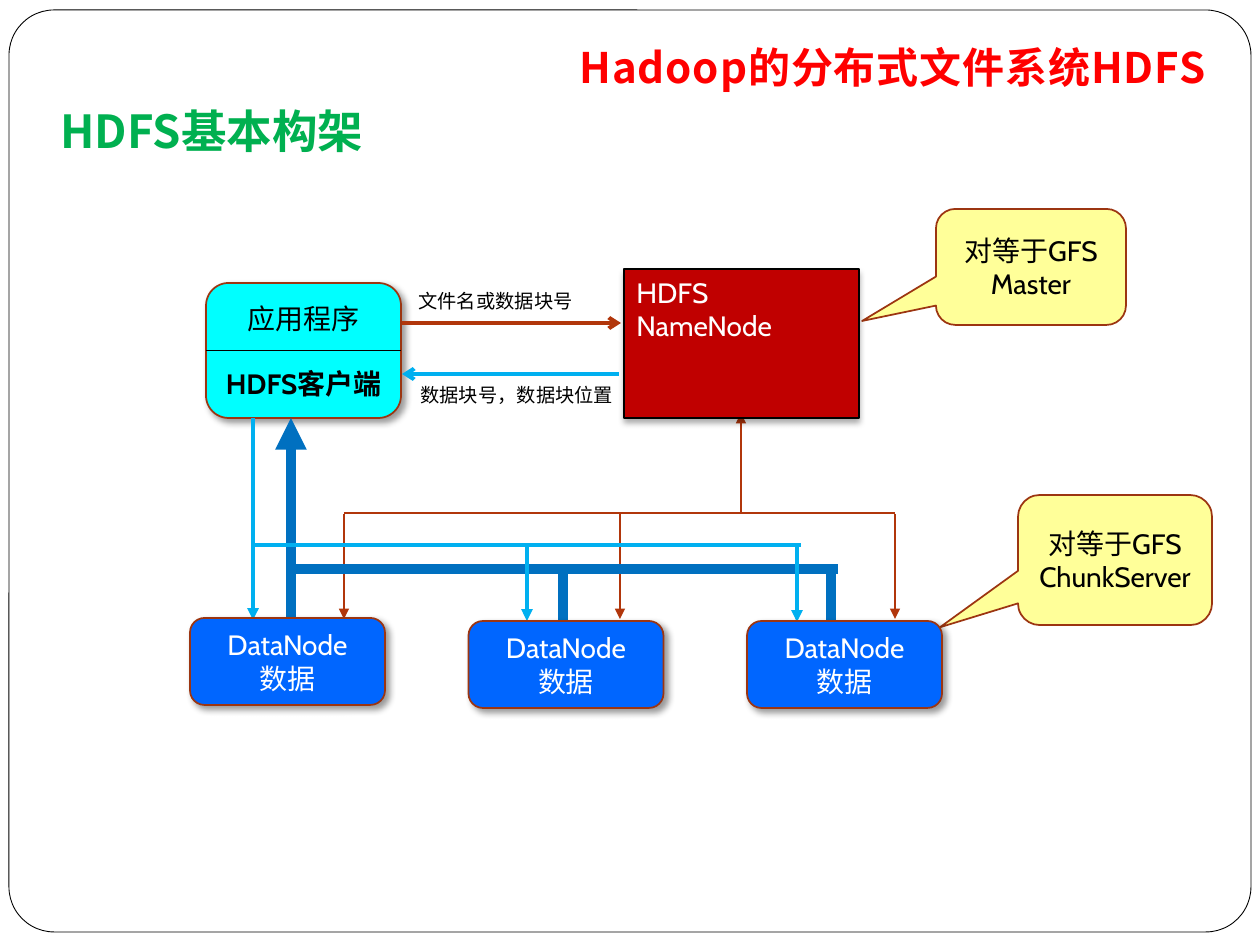
from pptx import Presentation
from pptx.dml.color import RGBColor
from pptx.enum.shapes import MSO_CONNECTOR, MSO_SHAPE
from pptx.enum.text import MSO_ANCHOR, MSO_AUTO_SIZE, PP_ALIGN
from pptx.oxml.ns import qn
from pptx.util import Emu, Pt
from lxml import etree

LINE = MSO_CONNECTOR.STRAIGHT
RECTANGLE = MSO_SHAPE.RECTANGLE
ROUNDED = MSO_SHAPE.ROUNDED_RECTANGLE
CALLOUT = MSO_SHAPE.ROUNDED_RECTANGULAR_CALLOUT
TOP, MIDDLE, BOTTOM = MSO_ANCHOR.TOP, MSO_ANCHOR.MIDDLE, MSO_ANCHOR.BOTTOM
LEFT, CENTER, RIGHT = PP_ALIGN.LEFT, PP_ALIGN.CENTER, PP_ALIGN.RIGHT
NO_AUTOFIT = MSO_AUTO_SIZE.NONE
CJK_FONT = "Noto Sans CJK SC"
SOFT_SHADOW = (40, 4, 3, 45)
LOW_SHADOW = (32, 3.5, 2.2, 90)
COLORS = {
    "black": "000000", "white": "FFFFFF", "title": "FF0000", "heading": "00B050",
    "outline": "9C3511", "note": "FFFF99", "client": "00FFFF", "name": "C00000",
    "data": "0066FF", "control": "B1360B", "read": "0070C0", "write": "00B0F0",
}


def px(value):
    return Emu(round(value * 914400 / 126))


def color(name):
    return RGBColor.from_string(COLORS[name])


def write(shape, text, size, font, ink, align=LEFT, anchor=TOP, bold=False):
    frame = shape.text_frame
    frame.text = text
    frame.word_wrap = True
    frame.auto_size = NO_AUTOFIT
    frame.vertical_anchor = anchor
    for paragraph in frame.paragraphs:
        paragraph.alignment = align
        for run in paragraph.runs:
            run.font.size = Pt(size)
            run.font.name = font
            run.font.bold = bold
            run.font.color.rgb = color(ink)
            properties = run.font._element
            etree.SubElement(properties, qn("a:ea"), typeface=CJK_FONT)
    return frame


def add_shadow(shape, alpha, blur, distance, angle):
    effects = shape._element.spPr.find(qn("a:effectLst"))
    shadow = etree.SubElement(
        effects, qn("a:outerShdw"), blurRad=str(Pt(blur)), dist=str(Pt(distance)),
        dir=str(angle * 60000), algn="ctr", rotWithShape="0")
    tint = etree.SubElement(shadow, qn("a:srgbClr"), val=COLORS["black"])
    etree.SubElement(tint, qn("a:alpha"), val=str(alpha * 1000))


def add_box(shapes, kind, box, fill, outline="outline", width=1, shadow=None):
    shape = shapes.add_shape(kind, *map(px, box))
    shape.shadow.inherit = False
    shape.fill.solid()
    shape.fill.fore_color.rgb = color(fill)
    shape.line.color.rgb = color(outline)
    shape.line.width = Pt(width)
    if shadow:
        add_shadow(shape, *shadow)
    return shape


def add_line(shapes, start, end, ink, width, arrow=None):
    line = shapes.add_connector(LINE, *map(px, (*start, *end)))
    line.line.color.rgb = color(ink)
    line.line.width = Pt(width)
    if arrow:
        etree.SubElement(line.line._get_or_add_ln(), qn("a:tailEnd"), type=arrow)
    etree.SubElement(line._element.spPr, qn("a:effectLst"))


def draw_frame(shapes, box):
    frame = add_box(shapes, ROUNDED, box, "white", "black", 0.5)
    frame.adjustments[0] = 0.049
    shapes._spTree.insert(2, frame._element)


def draw_title(title, box):
    title.left, title.top, title.width, title.height = map(px, box)
    frame = write(title, "Hadoop的分布式文件系统HDFS", 24, CJK_FONT, "title", RIGHT, BOTTOM, True)
    frame.margin_bottom = px(13)
    frame.paragraphs[0].runs[0].font._element.set("spc", "50")


def draw_heading(shapes, box):
    heading = shapes.add_textbox(*map(px, box))
    write(heading, "HDFS基本构架", 26, CJK_FONT, "heading", bold=True)


def draw_callout(shapes, box, text, pointer):
    callout = add_box(shapes, CALLOUT, box, "note")
    callout.adjustments[0], callout.adjustments[1] = pointer
    write(callout, text, 16, "Cabin", "black", CENTER, MIDDLE)


def draw_client(shapes, box):
    left, top, width, height = box
    client = add_box(shapes, ROUNDED, box, "client", shadow=SOFT_SHADOW)
    frame = write(client, "应用程序\nHDFS客户端", 16, "Cabin", "black", CENTER, MIDDLE)
    frame.paragraphs[0].runs[0].font.name = "Arial"
    frame.paragraphs[1].space_before = Pt(18)
    frame.paragraphs[1].runs[0].font.bold = True
    middle = top + height / 2
    add_line(shapes, (left, middle), (left + width, middle), "black", 0.75)


def draw_message(shapes, box, text, line_y, start_x, end_x, ink):
    left, top, width, height = box
    add_line(shapes, (left + start_x, top + line_y), (left + end_x, top + line_y),
             ink, 2.25, "arrow")
    label = shapes.add_textbox(*map(px, box))
    write(label, text, 11, "Times New Roman", "black")


def draw_bus(shapes, box, bar_y, branches, ink, width):
    left, top, bar_width, height = box
    for x, start_y, end_y, arrow in branches:
        add_line(shapes, (left + x, top + start_y), (left + x, top + end_y), ink, width, arrow)
    add_line(shapes, (left, top + bar_y), (left + bar_width, top + bar_y), ink, width)


def draw_name_node(shapes, box):
    node = add_box(shapes, RECTANGLE, box, "name", "black", 0.75, LOW_SHADOW)
    write(node, "HDFS NameNode", 16, "Cabin", "white")


def draw_data_node(shapes, box):
    node = add_box(shapes, ROUNDED, box, "data", shadow=SOFT_SHADOW)
    write(node, "DataNode\n数据", 16, "Cabin", "white", CENTER, MIDDLE)


def main():
    presentation = Presentation()
    presentation.slide_width, presentation.slide_height = px(1260), px(945)
    slide = presentation.slides.add_slide(presentation.slide_layouts[5])
    shapes = slide.shapes

    draw_frame(shapes, (9, 10, 1242, 922))
    draw_title(shapes.title, (147, 38, 1071, 67))
    draw_heading(shapes, (48, 97, 1176, 764))
    draw_callout(shapes, (936, 209, 190, 116), "对等于GFS Master", (-0.889, 0.466))
    draw_callout(shapes, (1018, 495, 194, 130), "对等于GFS ChunkServer", (-0.902, 0.517))
    draw_client(shapes, (206, 283, 195, 135))

    draw_bus(shapes, (344, 413, 551, 206), 100,
             [(397, 99, 0, "triangle")]
             + [(x, 101, 206, "triangle") for x in (0, 276, 551)], "control", 0.75)
    draw_bus(shapes, (289, 418, 549, 208), 151,
             [(2, 203, 0, "triangle"), (274, 150, 203, None), (542, 150, 208, None)],
             "read", 6)
    draw_message(shapes, (406, 283, 214, 37), "文件名或数据块号", 40, -4, 215, "control")
    draw_message(shapes, (408, 377, 227, 37), "数据块号，数据块位置", -3, 211, -6, "write")
    draw_bus(shapes, (253, 418, 548, 204), 127,
             [(0, 0, 202, "triangle"), (274, 126, 203, "triangle"), (544, 127, 204, "triangle")],
             "write", 2.25)

    draw_name_node(shapes, (624, 269, 235, 149))
    for index, top in enumerate((618, 621, 621)):
        draw_data_node(shapes, (190 + index * 278.5, top, 195, 87))

    presentation.save("out.pptx")


if __name__ == "__main__":
    main()
